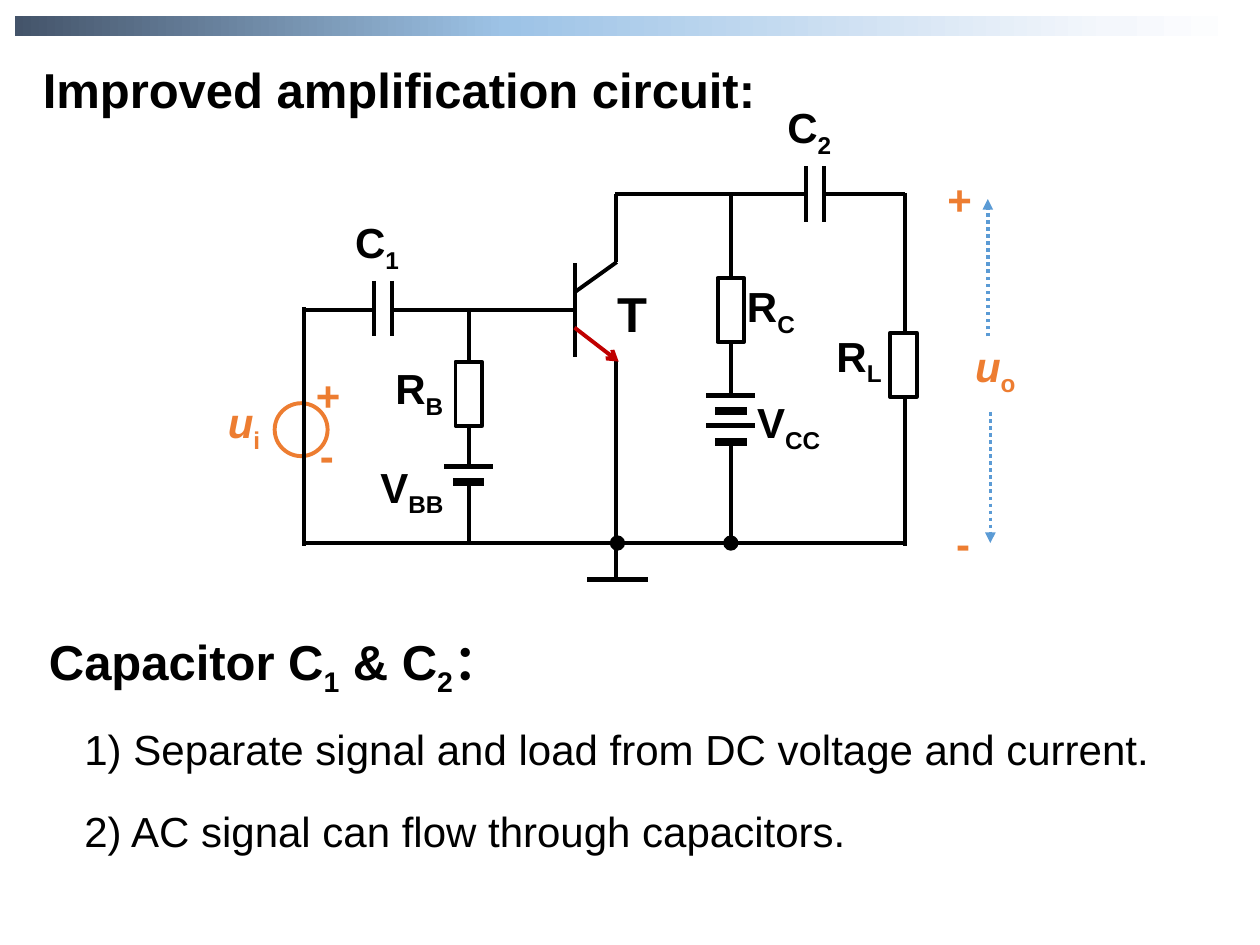
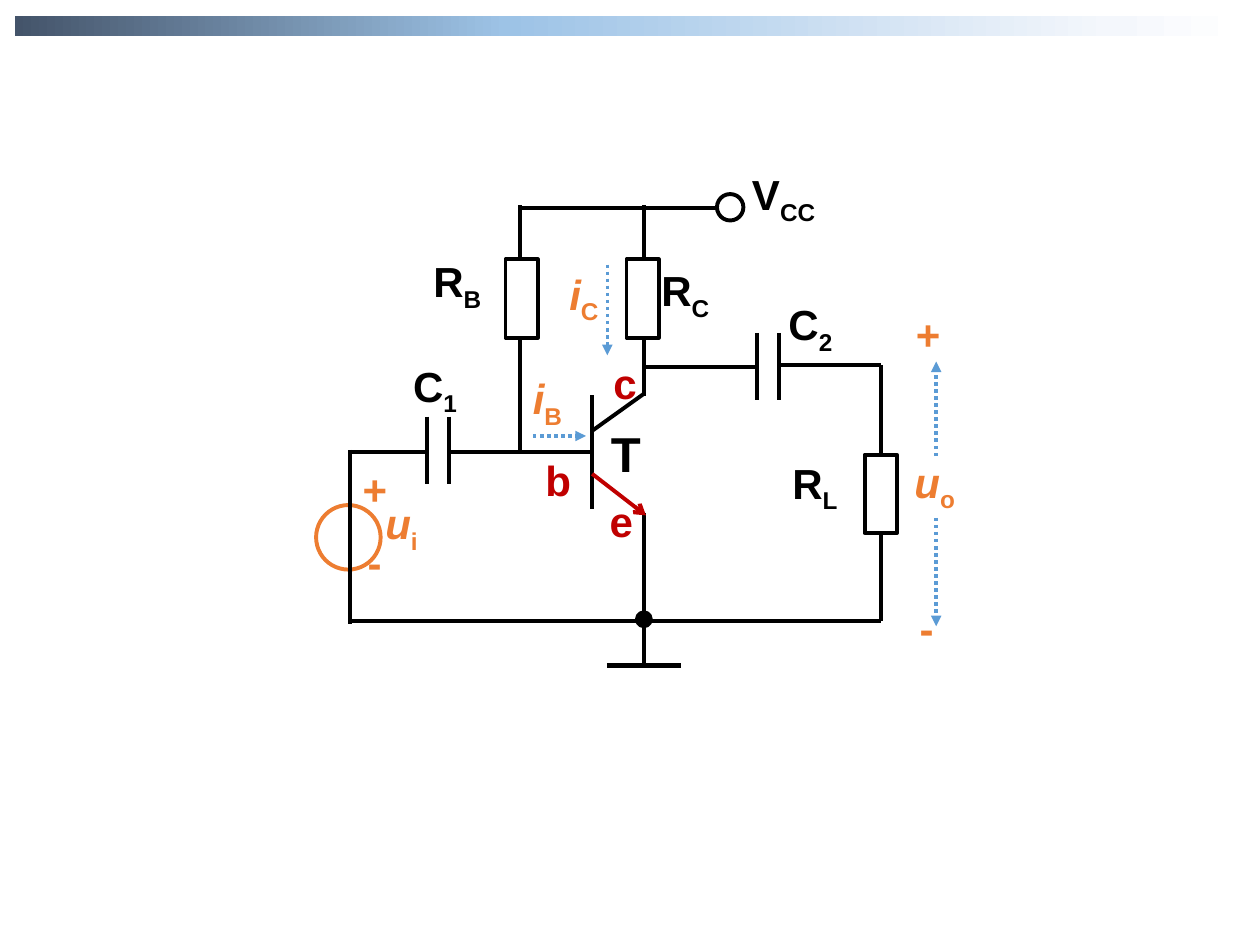
from dataclasses import dataclass

from lxml import etree
from pptx import Presentation
from pptx import util as u
from pptx.dml.color import RGBColor
from pptx.enum import dml, shapes, text
from pptx.oxml import ns

COLORS = {"ink": "000000", "paper": "FFFFFF", "signal": "ED7D31",
          "emitter": "C00000", "flow": "5B9BD5"}
BAND_STOPS = ((0, "44546A"), (40, "9DC3E6"), (89, "F4F7FC"), (100, "FFFFFF"))
FONT = "Arial"
WIRE = 2.25
ZOOM = 1.22  # size of the second circuit's symbols against the first

# Grid: 100 columns by 75 rows
prs = Presentation()
prs.slide_width, prs.slide_height = u.Inches(10), u.Inches(7.5)
COL, ROW = prs.slide_width / 100, prs.slide_height / 75


@dataclass
class Label:
    main: str
    sub: str
    x: float
    y: float
    w: float
    color: str = "ink"
    size: int = 24


def grid(x: float, y: float, w: float, h: float) -> list[int]:
    return [int(x * COL), int(y * ROW), int(w * COL), int(h * ROW)]


def rgb(name: str) -> RGBColor:
    return RGBColor.from_string(COLORS[name])


# Text
def write(p, content: str, size: int = 24, color: str = "ink", bold: bool = True,
          italic: bool = False, sub: bool = False) -> None:
    r = p.add_run()
    r.text = content
    f = r.font
    f.name, f.size, f.bold, f.italic = FONT, u.Pt(size), bold, italic
    f.color.rgb = rgb(color)
    if sub:
        r._r.get_or_add_rPr().set("baseline", "-25000")


def text_box(s, x: float, y: float, w: float, h: float):
    tf = s.shapes.add_textbox(*grid(x, y, w, h)).text_frame
    tf.word_wrap = True
    return tf.paragraphs[0]


def draw_labels(s, labels: list[Label]) -> None:
    for lb in labels:
        p = text_box(s, lb.x, lb.y, lb.w, 5.9 if lb.sub else 5)
        write(p, lb.main, lb.size, lb.color, italic=lb.main in ("u", "i"))
        if lb.sub:
            write(p, lb.sub, lb.size, lb.color, sub=True)


def place(ph, x: float, y: float, w: float, h: float):
    ph.left, ph.top, ph.width, ph.height = grid(x, y, w, h)
    tf = ph.text_frame
    tf.auto_size = text.MSO_AUTO_SIZE.NONE
    tf.vertical_anchor = text.MSO_ANCHOR.TOP
    return tf


# Basic strokes and outlines
def line(s, x1: float, y1: float, x2: float, y2: float, color: str = "ink",
         width: float = WIRE, tail: str = "", dotted: bool = False) -> None:
    c = s.shapes.add_connector(shapes.MSO_CONNECTOR.STRAIGHT, int(x1 * COL),
                               int(y1 * ROW), int(x2 * COL), int(y2 * ROW))
    c.line.color.rgb = rgb(color)
    c.line.width = u.Pt(width)
    if dotted:
        c.line.dash_style = dml.MSO_LINE.ROUND_DOT
    if tail:
        etree.SubElement(c.line._get_or_add_ln(), ns.qn("a:tailEnd"), type=tail)
    etree.SubElement(c._element.spPr, ns.qn("a:effectLst"))


def wires(s, *ends: tuple[float, float, float, float]) -> None:
    for end in ends:
        line(s, *end)


def flow(s, x1: float, y1: float, x2: float, y2: float) -> None:
    line(s, x1, y1, x2, y2, "flow", 2, "triangle", dotted=True)


def outline(s, kind, cx: float, cy: float, w: float, h: float,
            fill: str = "", color: str = "ink") -> None:
    sp = s.shapes.add_shape(kind, *grid(cx - w / 2, cy - h / 2, w, h))
    sp.shadow.inherit = False
    if fill:
        sp.fill.solid()
        sp.fill.fore_color.rgb = rgb(fill)
    else:
        sp.fill.background()
    sp.line.color.rgb = rgb(color)
    sp.line.width = u.Pt(WIRE)


def circle(s, cx: float, cy: float, d: float, fill: str = "", color: str = "ink") -> None:
    outline(s, shapes.MSO_SHAPE.OVAL, cx, cy, d, d, fill, color)


# Circuit symbols
def resistor(s, cx: float, cy: float, k: float = 1) -> None:
    outline(s, shapes.MSO_SHAPE.RECTANGLE, cx, cy, 2.1 * k, 5.1 * k, "paper")


def capacitor(s, x: float, cy: float, k: float = 1) -> None:
    for plate in (x, x + 1.4 * k):
        line(s, plate, cy - 2.2 * k, plate, cy + 2.2 * k)


def battery_cell(s, cx: float, y: float) -> None:
    line(s, cx - 1.95, y, cx + 1.95, y, width=3)
    line(s, cx - 1.25, y + 1.25, cx + 1.25, y + 1.25, width=4.5)


def transistor(s, x: float, cy: float, k: float = 1) -> None:
    line(s, x, cy - 3.7 * k, x, cy + 3.7 * k)
    line(s, x, cy - 1.4 * k, x + 3.35 * k, cy - 3.8 * k)
    line(s, x, cy + 1.4 * k, x + 3.5 * k, cy + 4.1 * k, "emitter", tail="arrow")


def ground(s, cx: float, y: float, k: float = 1) -> None:
    line(s, cx - 2.4 * k, y, cx + 2.4 * k, y, width=3)


def node(s, cx: float, cy: float, k: float = 1) -> None:
    circle(s, cx, cy, 0.9 * k, "ink")


def source(s, cx: float, cy: float, k: float = 1) -> None:
    circle(s, cx, cy, 4.2 * k, color="signal")


# Shared slide frame
def new_slide(layout: int):
    s = prs.slides.add_slide(prs.slide_layouts[layout])
    band = s.shapes.add_shape(shapes.MSO_SHAPE.RECTANGLE, *grid(1.2, 1.3, 97.6, 1.6))
    band.shadow.inherit = False
    band.line.fill.background()
    band.fill.gradient()
    band.fill.gradient_angle = 0
    stops = band._element.spPr.find(".//" + ns.qn("a:gsLst"))
    for old in list(stops):
        stops.remove(old)
    for share, color in BAND_STOPS:
        gs = etree.SubElement(stops, ns.qn("a:gs"), pos=str(share * 1000))
        etree.SubElement(gs, ns.qn("a:srgbClr"), val=color)
    return s


def improved_circuit() -> None:
    s = new_slide(1)
    title, body = s.placeholders

    # Circuit
    source(s, 23.9, 34.1)
    wires(s, (45.6, 24.6, 31.1, 24.6), (48.9, 20.8, 48.9, 15.4),
          (48.9, 28.6, 48.9, 45.9), (37.2, 24.6, 37.2, 37), (37.2, 38.3, 37.2, 43.1),
          (71.8, 43.1, 24.1, 43.1), (64, 15.4, 48.8, 15.4), (58, 15.3, 58, 31.4),
          (58, 34.8, 58, 43.1), (71.8, 15.3, 71.8, 43.3), (24.1, 24.4, 24.1, 43.3),
          (29.7, 24.6, 24.1, 24.6), (71.8, 15.4, 65.5, 15.4))
    transistor(s, 45.6, 24.6)
    for cx, cy in ((37.2, 31.25), (58, 24.6), (71.7, 28.95)):
        resistor(s, cx, cy)
    for cx, y in ((37.2, 37), (58, 31.4), (58, 33.8)):
        battery_cell(s, cx, y)
    capacitor(s, 29.7, 24.5)
    capacitor(s, 64, 15.4)
    ground(s, 49, 46)
    node(s, 49, 43.1)
    node(s, 58, 43.1)
    flow(s, 78.6, 32.7, 78.6, 43.1)
    flow(s, 78.4, 26.7, 78.4, 15.8)
    draw_labels(s, [
        Label("V", "CC", 59.1, 31, 7.9), Label("R", "C", 58.3, 21.8, 7.9),
        Label("V", "BB", 29.2, 36.1, 7.9), Label("R", "B", 30.4, 28.3, 6.4),
        Label("R", "L", 65.4, 25.7, 7.9), Label("C", "1", 27.2, 16.7, 6.3),
        Label("C", "2", 61.5, 7.6, 6.3), Label("T", "", 48, 22, 5.3, size=28),
        Label("u", "i", 17.1, 31, 5.2, "signal"), Label("+", "", 24.1, 28.8, 6.4, "signal"),
        Label("-", "", 24.4, 33.6, 4.1, "signal"), Label("u", "o", 76.4, 26.5, 6.4, "signal"),
        Label("+", "", 74.2, 13.3, 6.4, "signal"), Label("-", "", 74.9, 40.6, 4.1, "signal")])

    # Title, heading and list
    p = place(title, 2.4, 4.2, 65.8, 5.7).paragraphs[0]
    p.alignment = text.PP_ALIGN.LEFT
    write(p, "Improved amplification circuit:", 28)
    p = text_box(s, 2.9, 49.6, 43.1, 6.7)
    for part, sub in (("Capacitor C", False), ("1", True), (" & C", False),
                      ("2", True), ("：", False)):
        write(p, part, 28, sub=sub)
    tf = place(body, 5.7, 56.9, 92.6, 11.3)
    items = ("1) Separate signal and load from DC voltage and current.",
             "2) AC signal can flow through capacitors.")
    for i, item in enumerate(items):
        p = tf.add_paragraph() if i else tf.paragraphs[0]
        pPr = p._p.get_or_add_pPr()
        pPr.set("marL", "0")
        pPr.set("indent", "0")
        etree.SubElement(pPr, ns.qn("a:buNone"))
        p.space_before = u.Pt(18 if i else 0)
        write(p, item, bold=False)


def single_supply_circuit() -> None:
    s = new_slide(6)

    # Circuit
    source(s, 27.65, 42.65, ZOOM)
    wires(s, (47, 35.9, 35.6, 35.9), (51.1, 31.4, 51.1, 16.3), (51.1, 40.7, 51.1, 52.8),
          (41.3, 35.9, 41.3, 16.3), (69.9, 49.3, 27.8, 49.3), (60.1, 29.1, 51.1, 29.1),
          (57, 16.5, 41.2, 16.5), (69.9, 29, 69.9, 49.3), (27.8, 35.7, 27.8, 49.5),
          (33.9, 35.9, 27.8, 35.9), (69.9, 29, 61.8, 29))
    transistor(s, 47, 35.9, ZOOM)
    for cx, cy in ((41.4, 23.7), (51, 23.7), (69.9, 39.2)):
        resistor(s, cx, cy, ZOOM)
    capacitor(s, 33.9, 35.75, ZOOM)
    capacitor(s, 60.1, 29.1, ZOOM)
    ground(s, 51.1, 52.8, ZOOM)
    node(s, 51.1, 49.15, ZOOM)
    circle(s, 57.95, 16.45, 2.1, "paper")
    for arrow in ((74.3, 41.1, 74.3, 49.7), (74.3, 36.2, 74.3, 28.7),
                  (42.3, 34.6, 46.5, 34.6), (48.2, 21, 48.2, 28.2)):
        flow(s, *arrow)
    draw_labels(s, [
        Label("V", "CC", 58.7, 12.9, 9.6), Label("R", "C", 51.5, 20.5, 9.6),
        Label("R", "B", 33.4, 19.8, 7.8), Label("R", "L", 61.9, 35.8, 9.6),
        Label("C", "1", 31.8, 28.1, 7.6), Label("C", "2", 61.6, 23.2, 7.6),
        Label("T", "", 47.5, 33.1, 6.4, size=28),
        Label("u", "i", 29.6, 39, 6.3, "signal"), Label("+", "", 27.8, 36.3, 7.8, "signal"),
        Label("-", "", 28.2, 42.1, 5, "signal"), Label("u", "o", 71.6, 35.7, 7.7, "signal"),
        Label("+", "", 71.7, 24, 7.8, "signal"), Label("-", "", 72, 47.3, 5, "signal"),
        Label("b", "", 42.3, 35.6, 4.7, "emitter"), Label("e", "", 47.4, 38.8, 4.7, "emitter"),
        Label("c", "", 47.7, 27.9, 4.7, "emitter"),
        Label("i", "B", 41.3, 29.1, 7.5, "signal"), Label("i", "C", 44.2, 20.8, 5.3, "signal")])


if __name__ == "__main__":
    improved_circuit()
    single_supply_circuit()
    prs.save("out.pptx")
